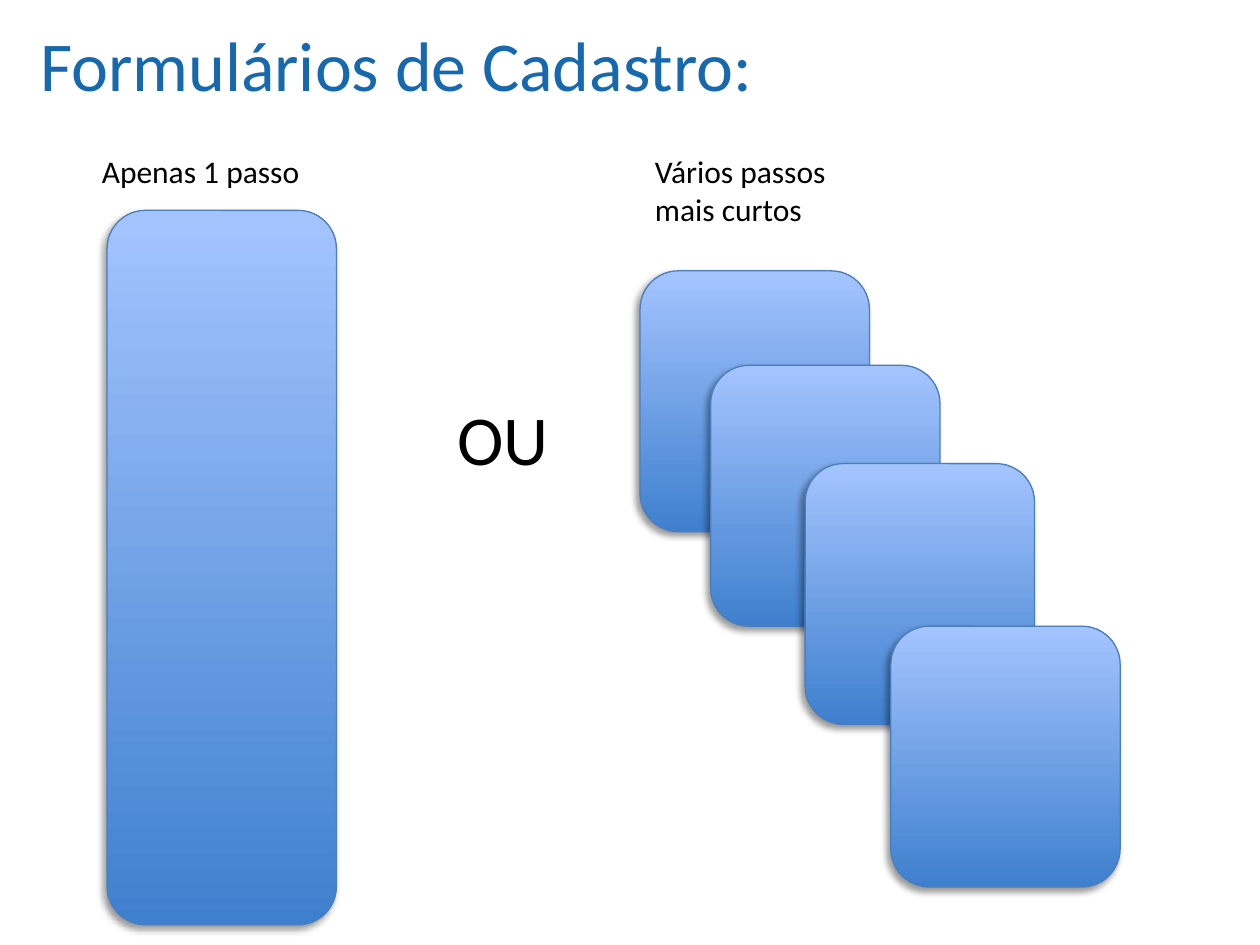
from lxml.etree import SubElement
from pptx import Presentation
from pptx.dml.color import RGBColor
from pptx.enum.shapes import MSO_SHAPE
from pptx.oxml.ns import qn
from pptx.util import Inches, Pt

FORM_WIDTH = 1.82
STEP_HEIGHT = 2.07
STEP_CORNERS = [(5.08, 2.15), (5.64, 2.9), (6.39, 3.68), (7.07, 4.97)]


def color(value):
    """Return the colour for a hex string."""
    return RGBColor.from_string(value)


def add_shadow(shape):
    """Cast a soft shadow towards the lower left."""
    shape.shadow.inherit = False
    effects = shape._element.spPr.find(qn("a:effectLst"))
    shadow = SubElement(effects, qn("a:outerShdw"), blurRad=str(Pt(4)),
                        dist=str(Pt(3)), dir="8100000", algn="tr", rotWithShape="0")
    black = SubElement(shadow, qn("a:srgbClr"), val="000000")
    SubElement(black, qn("a:alpha"), val="40000")


def add_form(page, left, top, height):
    """Add a rounded form block, dark at the bottom and light at the top."""
    form = page.shapes.add_shape(MSO_SHAPE.ROUNDED_RECTANGLE, Inches(left), Inches(top),
                                 Inches(FORM_WIDTH), Inches(height))
    form.fill.gradient()
    form.fill.gradient_angle = 90
    for stop, shade in zip(form.fill.gradient_stops, ("3F80CE", "A4C4FF")):
        stop.color.rgb = color(shade)
    form.line.color.rgb = color("4B7EBC")
    form.line.width = Pt(0.75)
    add_shadow(form)


def add_text(page, text, left, top, width, height, size, shade="000000"):
    """Add a wrapping text box in a single style."""
    box = page.shapes.add_textbox(Inches(left), Inches(top), Inches(width), Inches(height))
    box.text_frame.word_wrap = True
    box.text_frame.text = text
    span = box.text_frame.paragraphs[0].runs[0]
    span.font.name = "Calibri"
    span.font.size = Pt(size)
    span.font.color.rgb = color(shade)


def main():
    """Build the slide comparing one long form with several short steps."""
    deck = Presentation()
    deck.slide_width, deck.slide_height = Inches(10), Inches(7.5)
    page = deck.slides.add_slide(deck.slide_layouts[6])
    add_form(page, 0.85, 1.67, 5.67)
    for left, top in STEP_CORNERS:
        add_form(page, left, top, STEP_HEIGHT)
    add_text(page, "Formulários de Cadastro:", 0.22, 0.12, 6.01, 0.77, 40, "1769AF")
    add_text(page, "OU", 3.53, 3.09, 1.36, 0.77, 40)
    add_text(page, "Apenas 1 passo", 0.71, 1.16, 2.25, 0.4, 18)
    add_text(page, "Vários passos mais curtos", 5.1, 1.16, 1.97, 0.71, 18)
    deck.save("out.pptx")


if __name__ == "__main__":
    main()
